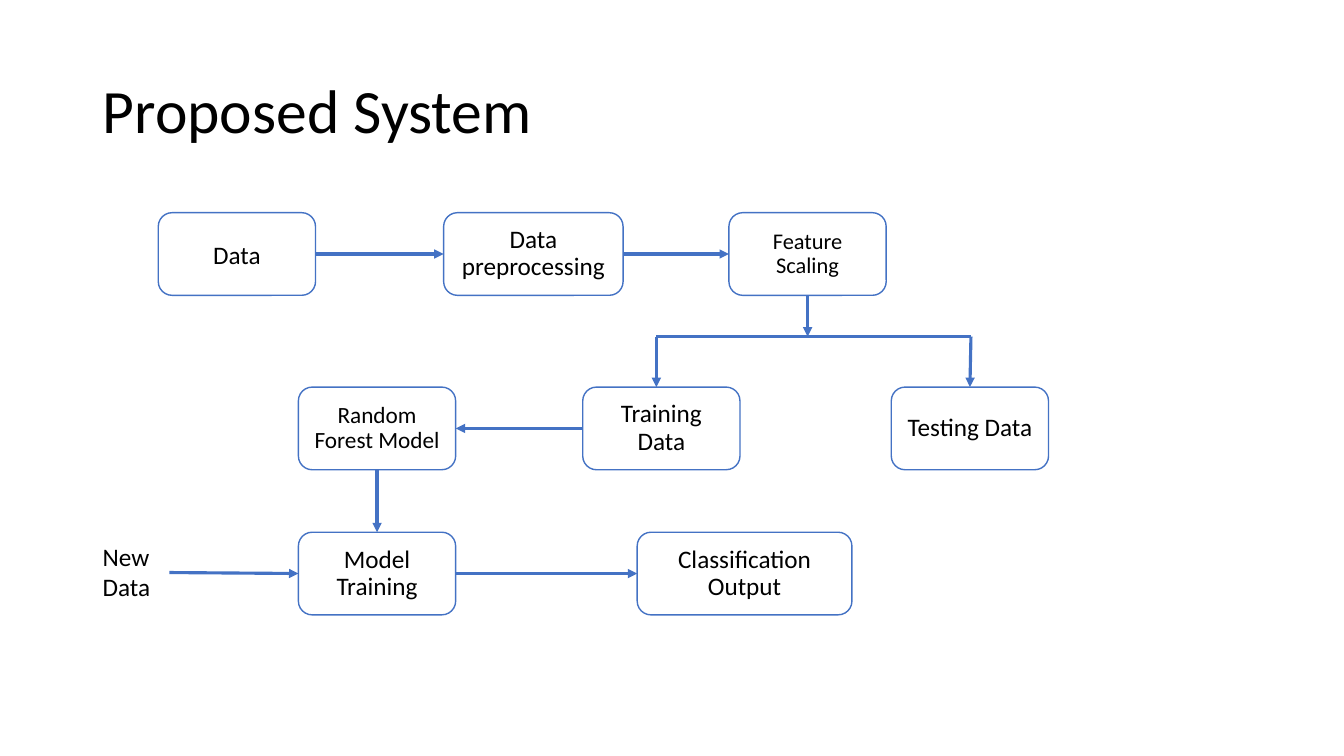
from typing import NamedTuple, Optional, Union

from lxml.etree import SubElement
from pptx import Presentation
from pptx.dml.color import RGBColor
from pptx.enum.shapes import MSO_CONNECTOR, MSO_SHAPE
from pptx.enum.text import MSO_ANCHOR, MSO_AUTO_SIZE, PP_ALIGN
from pptx.oxml.ns import qn
from pptx.shapes.autoshape import Shape
from pptx.shapes.connector import Connector
from pptx.slide import Slide
from pptx.util import Inches, Pt

BLUE = RGBColor(0x44, 0x72, 0xC4)
WHITE = RGBColor(0xFF, 0xFF, 0xFF)
BLACK = RGBColor(0x00, 0x00, 0x00)
FONT = "Calibri"

TOP, LEFT, BOTTOM, RIGHT = range(4)
BOX_HEIGHT = 0.82
ROW_1, ROW_2, ROW_3 = 2.11, 3.84, 5.28
SPLIT_Y = 3.34
TRAINING_X, TESTING_X = 6.51, 9.63


class Box(NamedTuple):
    text: str
    left: float
    top: float
    width: float = 1.56
    size: float = 18
    line_spacing: float = 0.9
    space_before: float = 10


class Point(NamedTuple):
    x: float
    y: float


class Side(NamedTuple):
    box: str
    site: int


class Link(NamedTuple):
    start: Union[Point, Side]
    end: Union[Point, Side]
    arrow: bool = True


BOXES = [
    Box("Data", 1.57, ROW_1, line_spacing=1.0, space_before=0),
    Box("Data preprocessing", 4.4, ROW_1, width=1.78),
    Box("Feature Scaling", 7.23, ROW_1, size=16),
    Box("Random Forest Model", 2.96, ROW_2, size=16.6),
    Box("Training Data", 5.78, ROW_2),
    Box("Testing Data", 8.84, ROW_2),
    Box("Model Training", 2.96, ROW_3),
    Box("Classification Output", 6.32, ROW_3, width=2.13),
]

LINKS = [
    Link(Side("Data", RIGHT), Side("Data preprocessing", LEFT)),
    Link(Side("Data preprocessing", RIGHT), Side("Feature Scaling", LEFT)),
    Link(Side("Feature Scaling", BOTTOM), Point(8.01, SPLIT_Y)),
    Link(Point(TRAINING_X, SPLIT_Y), Point(TESTING_X, SPLIT_Y), arrow=False),
    Link(Point(TRAINING_X, SPLIT_Y), Point(TRAINING_X, ROW_2)),
    Link(Point(TESTING_X, SPLIT_Y), Side("Testing Data", TOP)),
    Link(Side("Training Data", LEFT), Side("Random Forest Model", RIGHT)),
    Link(Side("Random Forest Model", BOTTOM), Side("Model Training", TOP)),
    Link(Point(1.68, 5.68), Side("Model Training", LEFT)),
    Link(Side("Model Training", RIGHT), Side("Classification Output", LEFT)),
]


def write(sp: Shape, text: str, size: float, align: PP_ALIGN,
          anchor: MSO_ANCHOR, line_spacing: Optional[float] = None,
          space_before: float = 0) -> None:
    tf = sp.text_frame
    tf.word_wrap = True
    tf.vertical_anchor = anchor
    tf.text = text
    p = tf.paragraphs[0]
    p.alignment = align
    p.line_spacing = line_spacing
    p.space_before = Pt(space_before)
    p.font.name = FONT
    p.font.size = Pt(size)
    p.font.color.rgb = BLACK


def add_box(s: Slide, box: Box) -> Shape:
    sp = s.shapes.add_shape(MSO_SHAPE.ROUNDED_RECTANGLE, Inches(box.left), Inches(box.top),
                            Inches(box.width), Inches(BOX_HEIGHT))
    sp.shadow.inherit = False
    sp.fill.solid()
    sp.fill.fore_color.rgb = WHITE
    sp.line.color.rgb = BLUE
    sp.line.width = Pt(1)
    write(sp, box.text, box.size, PP_ALIGN.CENTER, MSO_ANCHOR.MIDDLE,
          box.line_spacing, box.space_before)
    return sp


def add_link(s: Slide, link: Link, shapes: dict[str, Shape]) -> Connector:
    cxn = s.shapes.add_connector(MSO_CONNECTOR.STRAIGHT, 0, 0, 0, 0)
    # Free ends go first, since joined ends are placed by their box
    if isinstance(link.start, Point):
        cxn.begin_x, cxn.begin_y = map(Inches, link.start)
    else:
        cxn.begin_connect(shapes[link.start.box], link.start.site)
    if isinstance(link.end, Point):
        cxn.end_x, cxn.end_y = map(Inches, link.end)
    else:
        cxn.end_connect(shapes[link.end.box], link.end.site)
    cxn.line.color.rgb = BLUE
    cxn.line.width = Pt(2.25)
    if link.arrow:
        SubElement(cxn.line._get_or_add_ln(), qn("a:tailEnd"), type="triangle")
    SubElement(cxn._element.spPr, qn("a:effectLst"))
    return cxn


def main() -> None:
    prs = Presentation()
    prs.slide_width, prs.slide_height = Inches(13.33), Inches(7.5)
    s = prs.slides.add_slide(prs.slide_layouts[5])

    # Title
    title = s.shapes.title
    title.left, title.top = Inches(0.92), Inches(0.4)
    title.width, title.height = Inches(11.5), Inches(1.45)
    title.text_frame.auto_size = MSO_AUTO_SIZE.NONE
    write(title, "Proposed System", 44, PP_ALIGN.LEFT, MSO_ANCHOR.MIDDLE, 0.9)

    # Process steps and the arrows between them
    shapes = {box.text: add_box(s, box) for box in BOXES}
    for link in LINKS:
        add_link(s, link, shapes)

    # Input label
    label = s.shapes.add_textbox(Inches(0.92), Inches(5.32), Inches(1.05), Inches(0.71))
    write(label, "New Data", 18, PP_ALIGN.LEFT, MSO_ANCHOR.TOP)
    label.text_frame.auto_size = MSO_AUTO_SIZE.SHAPE_TO_FIT_TEXT

    prs.save("out.pptx")


if __name__ == "__main__":
    main()
